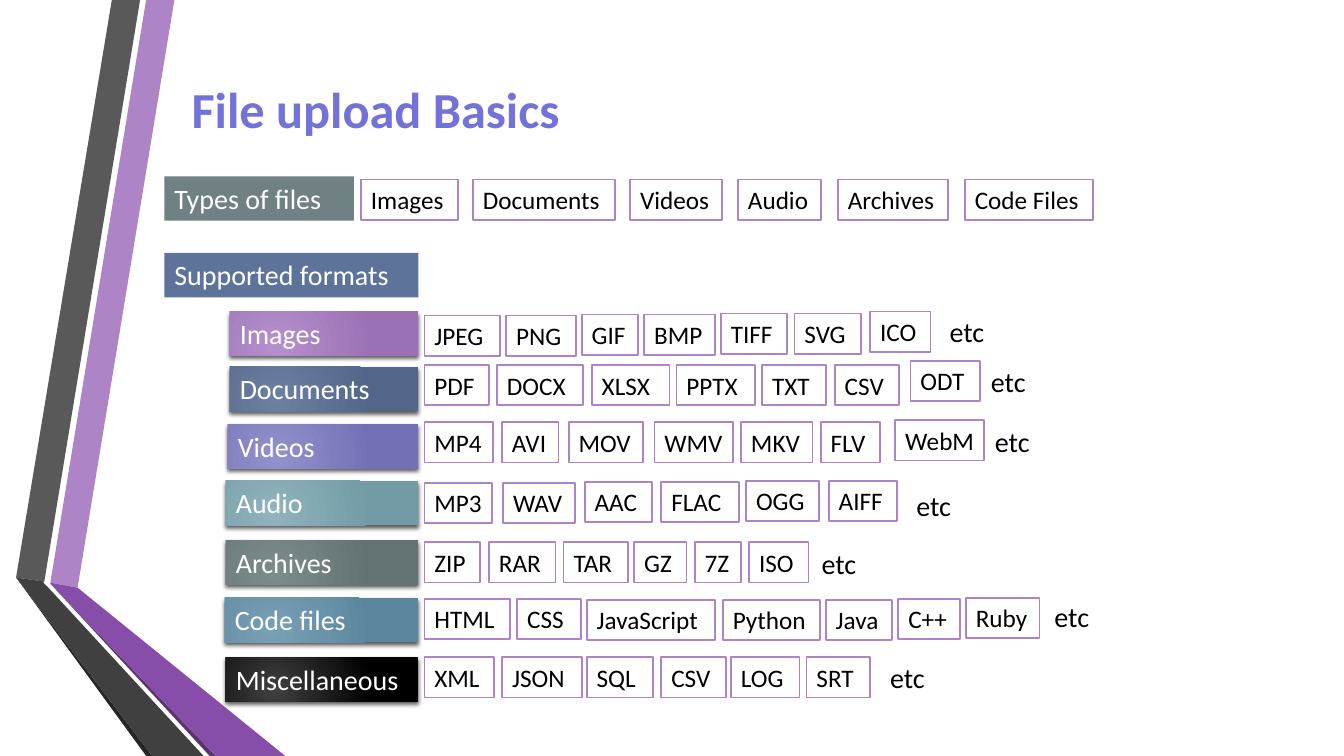
from pptx import Presentation
from pptx.dml.color import RGBColor
from pptx.enum.shapes import MSO_SHAPE
from pptx.enum.text import MSO_ANCHOR, MSO_AUTO_SIZE, PP_ALIGN
from pptx.oxml.ns import qn
from pptx.util import Inches, Pt
from lxml import etree

RECTANGLE = MSO_SHAPE.RECTANGLE
TOP = MSO_ANCHOR.TOP
LEFT = PP_ALIGN.LEFT
FIT_SHAPE = MSO_AUTO_SIZE.SHAPE_TO_FIT_TEXT

WHITE = RGBColor(0xFF, 0xFF, 0xFF)
BLACK = RGBColor(0, 0, 0)
TITLE_BLUE = RGBColor(0x73, 0x72, 0xD8)
LILAC = RGBColor(0xAD, 0x84, 0xC6)
PURPLE = RGBColor(0x87, 0x4E, 0xA9)
DARK_PURPLE = RGBColor(0x5A, 0x34, 0x71)
GREY = RGBColor(0x59, 0x59, 0x59)
DARK_GREY = RGBColor(0x40, 0x40, 0x40)
CHARCOAL = RGBColor(0x26, 0x26, 0x26)
SLATE = RGBColor(0x6F, 0x81, 0x83)
STEEL = RGBColor(0x5D, 0x73, 0x9A)
LILAC_FADE = RGBColor(0xB4, 0x90, 0xCB), RGBColor(0x9B, 0x71, 0xB5)
STEEL_FADE = RGBColor(0x6E, 0x80, 0xA2), RGBColor(0x53, 0x66, 0x89)
VIOLET_FADE = RGBColor(0x93, 0x91, 0xCC), RGBColor(0x74, 0x70, 0xB6)
TEAL_FADE = RGBColor(0x90, 0xB3, 0xBC), RGBColor(0x72, 0x9B, 0xA5)
SLATE_FADE = RGBColor(0x7C, 0x8C, 0x8D), RGBColor(0x63, 0x73, 0x74)
BLUE_FADE = RGBColor(0x78, 0xA0, 0xB5), RGBColor(0x5B, 0x87, 0x9E)
BLACK_FADE = DARK_GREY, BLACK

# Grid cells are a tenth of an inch: 133.3 columns by 75 rows.
CELL = Inches(0.1)
COLUMNS, ROWS = 133.3, 75
TAG_HEIGHT, LABEL_HEIGHT = 4, 4.4
LABEL_RIGHT = 41.5

RIBBONS = [
    (LILAC, [(5, 57.8), (7.7, 58.3), (17.3, 0), (14.5, 0)]),
    (GREY, [(13.9, 0), (11.1, 0), (1.6, 57.3), (4.4, 57.7)]),
    (CHARCOAL, [(1.6, 57.3), (14.5, ROWS), (15.1, ROWS)]),
    (DARK_PURPLE, [(5, 57.9), (20.8, ROWS), (21.4, ROWS)]),
    (PURPLE, [(5, 57.9), (21.4, ROWS), (28.3, ROWS), (7.7, 58.3), (5, 57.8)]),
    (DARK_GREY, [(20.2, ROWS), (4.8, 58.3), (4.3, 57.8), (4.4, 57.7),
                 (1.6, 57.3), (15.1, ROWS)]),
]

# Tags: text, column, width in columns.
FILE_TYPES = [("Images", 35.8, 9.6), ("Documents", 46.9, 14.1), ("Videos", 62.5, 9.1),
              ("Audio", 73.2, 8.2), ("Archives", 83.1, 10.9), ("Code Files", 95.7, 12.7)]

# Label, its column and row, fade, column and row of "etc", tags by row.
FORMATS = [
    ("Images", 22.8, 30.9, LILAC_FADE, 93.2, 30.7, {
        31.3: [("JPEG", 42.1, 7.5), ("PNG", 50.2, 6.9)],
        31.2: [("GIF", 57.7, 5.6), ("BMP", 63.9, 7)],
        31.1: [("TIFF", 71.5, 6.6), ("SVG", 78.8, 6.6)],
        30.9: [("ICO", 86.3, 6)]}),
    ("Documents", 22.8, 36.4, STEEL_FADE, 97.3, 35.7, {
        36.2: [("PDF", 42.1, 6.4), ("DOCX", 49.3, 8.5), ("XLSX", 58.7, 7.7),
               ("PPTX", 67.1, 7.8), ("TXT", 75.6, 6.3), ("CSV", 82.8, 6.4)],
        35.8: [("ODT", 90.3, 6.9)]}),
    ("Videos", 22.6, 42.1, VIOLET_FADE, 97.7, 41.6, {
        41.9: [("MP4", 42.1, 6.8), ("AVI", 49.8, 5.6), ("MOV", 56.4, 7.4),
               ("WMV", 64.9, 7.8), ("MKV", 73.5, 7.1), ("FLV", 81.4, 5.9)],
        41.7: [("WebM", 88.8, 8.8)]}),
    ("Audio", 22.4, 47.7, TEAL_FADE, 89.9, 48, {
        47.9: [("MP3", 42.1, 6.7), ("WAV", 49.9, 7.1)],
        47.8: [("AAC", 58, 6.7), ("FLAC", 65.6, 7.7)],
        47.7: [("OGG", 74, 7.2), ("AIFF", 82.2, 6.8)]}),
    ("Archives", 22.4, 53.6, SLATE_FADE, 80.5, 53.7, {
        53.8: [("ZIP", 42.1, 5.5), ("RAR", 48.5, 6.6), ("TAR", 55.9, 6.4),
               ("GZ", 62.9, 5.2), ("7Z", 68.9, 4.6), ("ISO", 74.3, 5.9)]}),
    ("Code files", 22.3, 59.3, BLUE_FADE, 103.6, 59, {
        59.4: [("HTML", 42.1, 8.5), ("CSS", 51.3, 6.3), ("C++", 89.1, 6.1)],
        59.5: [("JavaScript", 58.2, 12.7), ("Python", 71.7, 9.6), ("Java", 81.9, 6.6)],
        59.3: [("Ruby", 95.8, 7.3)]}),
    ("Miscellaneous", 22.4, 65.2, BLACK_FADE, 87.3, 65, {
        65.2: [("XML", 42.1, 6.9), ("JSON", 49.8, 7.9), ("SQL", 58.2, 6.6),
               ("CSV", 65.6, 6.4), ("LOG", 72.5, 6.8), ("SRT", 80, 6.3)]}),
]


def cells(*counts):
    return [round(count * CELL) for count in counts]


class FormatSlide:
    font_name = "Calibri"

    def __init__(self, slide):
        self.slide = slide
        self.shapes = slide.shapes

    def set_text(self, shape, text, size, color, bold=False, wrap=True):
        frame = shape.text_frame
        frame.text = text
        frame.word_wrap = wrap
        frame.auto_size = FIT_SHAPE
        frame.vertical_anchor = TOP
        paragraph = frame.paragraphs[0]
        paragraph.alignment = LEFT
        font = paragraph.runs[0].font
        font.name, font.size, font.bold = self.font_name, Pt(size), bold
        font.color.rgb = color

    def title(self, text, *place):
        heading = self.shapes.title
        heading.left, heading.top, heading.width, heading.height = cells(*place)
        self.set_text(heading, text, 36, TITLE_BLUE, bold=True)

    def ribbon(self, color, corners):
        points = [cells(*corner) for corner in corners]
        builder = self.shapes.build_freeform(*points[0])
        builder.add_line_segments(points[1:], close=True)
        band = builder.convert_to_shape()
        band.shadow.inherit = False
        band.fill.solid()
        band.fill.fore_color.rgb = color
        band.line.fill.background()

    def rectangle(self, *place):
        box = self.shapes.add_shape(RECTANGLE, *cells(*place))
        box.shadow.inherit = False
        box.line.fill.background()
        return box

    def heading(self, text, column, row, width, color):
        bar = self.rectangle(column, row, width, LABEL_HEIGHT)
        bar.fill.solid()
        bar.fill.fore_color.rgb = color
        self.set_text(bar, text, 20, WHITE)

    def label(self, text, column, row, fade):
        bar = self.rectangle(column, row, LABEL_RIGHT - column, LABEL_HEIGHT)
        self.radial_fade(bar, fade)
        self.drop_shadow(bar)
        self.set_text(bar, text, 20, WHITE)

    def radial_fade(self, bar, fade):
        bar.fill.gradient()
        for stop, color in zip(bar.fill.gradient_stops, fade):
            stop.color.rgb = color
        gradient = bar._element.spPr.find(qn("a:gradFill"))
        gradient.remove(gradient.find(qn("a:lin")))
        circle = etree.Element(qn("a:path"), path="circle")
        etree.SubElement(circle, qn("a:fillToRect"),
                         l="50000", t="100000", r="100000", b="50000")
        gradient.find(qn("a:gsLst")).addnext(circle)

    def drop_shadow(self, bar):
        effects = bar._element.spPr.find(qn("a:effectLst"))
        shadow = etree.SubElement(effects, qn("a:outerShdw"), blurRad=str(Pt(3)),
                                  dist=str(Pt(2)), dir="5400000", rotWithShape="0")
        color = etree.SubElement(shadow, qn("a:srgbClr"), val=str(BLACK))
        etree.SubElement(color, qn("a:alpha"), val="64000")

    def tags(self, row, entries):
        for text, column, width in entries:
            tag = self.rectangle(column, row, width, TAG_HEIGHT)
            tag.fill.solid()
            tag.fill.fore_color.rgb = WHITE
            tag.line.color.rgb = LILAC
            tag.line.width = Pt(1.25)
            self.set_text(tag, text, 18, BLACK, wrap=False)

    def note(self, text, column, row):
        box = self.shapes.add_textbox(*cells(column, row, 5.6, LABEL_HEIGHT))
        self.set_text(box, text, 20, BLACK, wrap=False)


def main():
    deck = Presentation()
    deck.slide_width, deck.slide_height = cells(COLUMNS, ROWS)
    page = FormatSlide(deck.slides.add_slide(deck.slide_layouts[5]))
    for color, corners in RIBBONS:
        page.ribbon(color, corners)
    page.title("File upload Basics", 18, 7.2, 42, 7.1)
    page.heading("Types of files", 16.3, 17.5, 18.8, SLATE)
    page.tags(17.8, FILE_TYPES)
    page.heading("Supported formats", 16.3, 25.1, 25.2, STEEL)
    for label, column, row, fade, etc_column, etc_row, tag_rows in FORMATS:
        page.label(label, column, row, fade)
        for tag_row, entries in tag_rows.items():
            page.tags(tag_row, entries)
        page.note("etc", etc_column, etc_row)
    deck.save("out.pptx")


if __name__ == "__main__":
    main()
